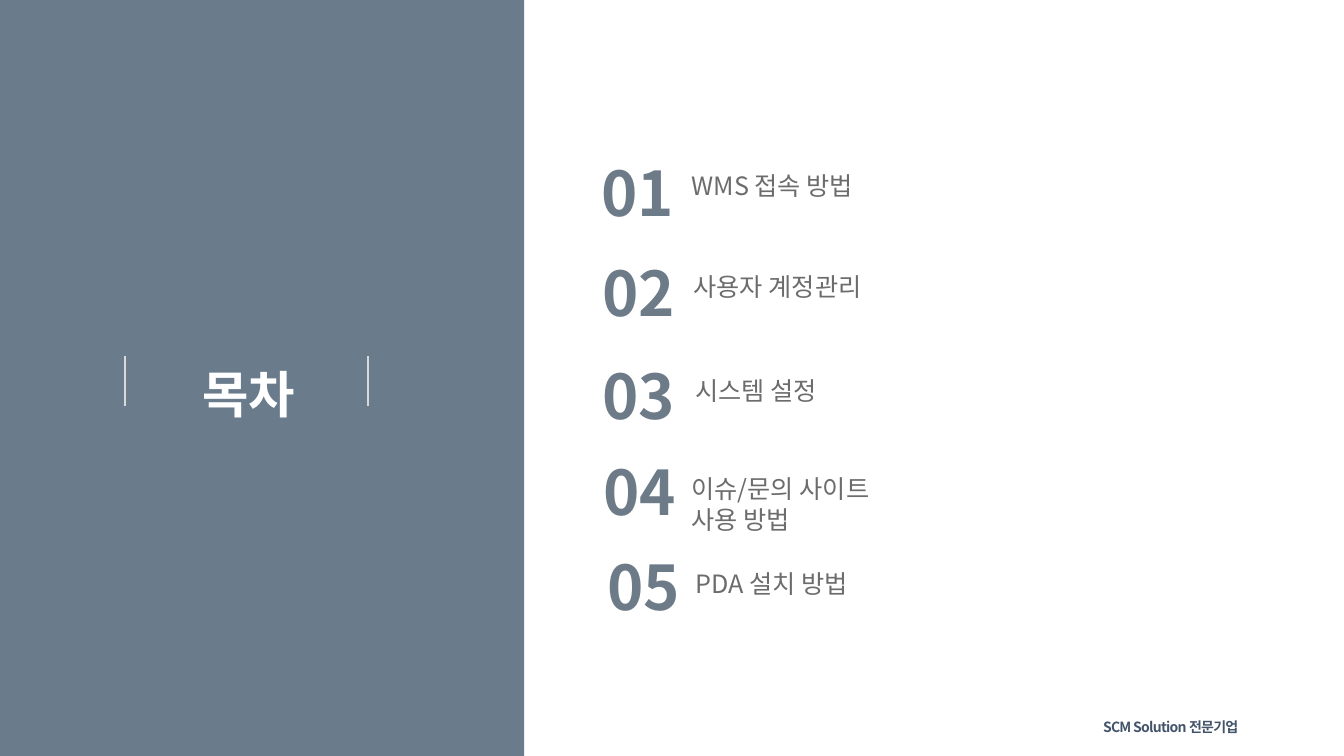
from lxml import etree
from pptx import Presentation
from pptx import util as u
from pptx.dml.color import RGBColor
from pptx.enum import shapes as sh, text as tx
from pptx.oxml import ns

FONT = "Noto Sans CJK KR"
ALIGN = {"l": tx.PP_ALIGN.LEFT, "c": tx.PP_ALIGN.CENTER, "r": tx.PP_ALIGN.RIGHT}
ITEMS = [
    ("01", "WMS 접속 방법", (582, 152), (676, 164)),
    ("02", "사용자 계정관리", (583, 252), (678, 264)),
    ("03", "시스템 설정", (583, 354), (680, 367)),
    ("04", "이슈/문의 사이트 사용 방법", (584, 449), (676, 465)),
    ("05", "PDA 설치 방법", (588, 543), (680, 559)),
]


def px(n):
    return u.Emu(n * 9144)


def color(code):
    return RGBColor.from_string(code)


def label(tree, words, box, size, ink, bold=False, align="l",
          wrap=True, mid=False, lead=None, track=None):
    frame = tree.add_textbox(*map(px, box)).text_frame
    frame.word_wrap = wrap
    if mid:
        frame.vertical_anchor = tx.MSO_ANCHOR.MIDDLE
    para = frame.paragraphs[0]
    para.alignment = ALIGN[align]
    if lead:
        para.line_spacing = lead
    run = para.add_run()
    run.text = words
    font = run.font
    font.size, font.bold = u.Pt(size), bold
    font.color.rgb = color(ink)
    font.name = FONT
    props = run._r.get_or_add_rPr()
    etree.SubElement(props, ns.qn("a:ea"), typeface=FONT)
    if track:
        props.set("spc", str(track))


def rule(tree, x, top, tall):
    line = tree.add_connector(sh.MSO_CONNECTOR.STRAIGHT,
                              px(x), px(top), px(x), px(top + tall))
    line.line.color.rgb = color("D9D9D9")
    line.line.width = u.Pt(1.25)
    etree.SubElement(line._element.spPr, ns.qn("a:effectLst"))


def panel(tree, box):
    x, y, wide, tall = box
    back = tree.add_shape(sh.MSO_SHAPE.RECTANGLE, *map(px, box))
    back.shadow.inherit = False
    back.fill.solid()
    back.fill.fore_color.rgb = color("6A7B8C")
    back.line.fill.background()
    group = tree.add_group_shape().shapes
    label(group, "목차", (x + 145, y + 325, 203, 100), 36, "FFFFFF",
          bold=True, align="c", wrap=False, lead=1.5)
    for left in (124, 365):
        rule(group, x + left, y + 353, 50)


def agenda(tree, box):
    x, y = box[:2]
    for num, name, spot, place in ITEMS:
        label(tree, num, (x + spot[0] - 520, y + spot[1], 101, 76), 44,
              "6D7A88", bold=True, align="c", mid=True)
        label(tree, name, (x + place[0] - 520, y + place[1], 216, 38), 18,
              "6C6C6C", wrap=False)


def footer(tree, box):
    label(tree, "SCM Solution 전문기업", box, 10, "44546A",
          bold=True, align="r", track=-50)


def main():
    deck = Presentation()
    deck.slide_width, deck.slide_height = px(1333), px(750)
    tree = deck.slides.add_slide(deck.slide_layouts[6]).shapes
    footer(tree, (928, 708, 310, 28))
    panel(tree, (0, 0, 520, 758))
    agenda(tree, (520, 0, 813, 750))
    deck.save("out.pptx")


if __name__ == "__main__":
    main()
